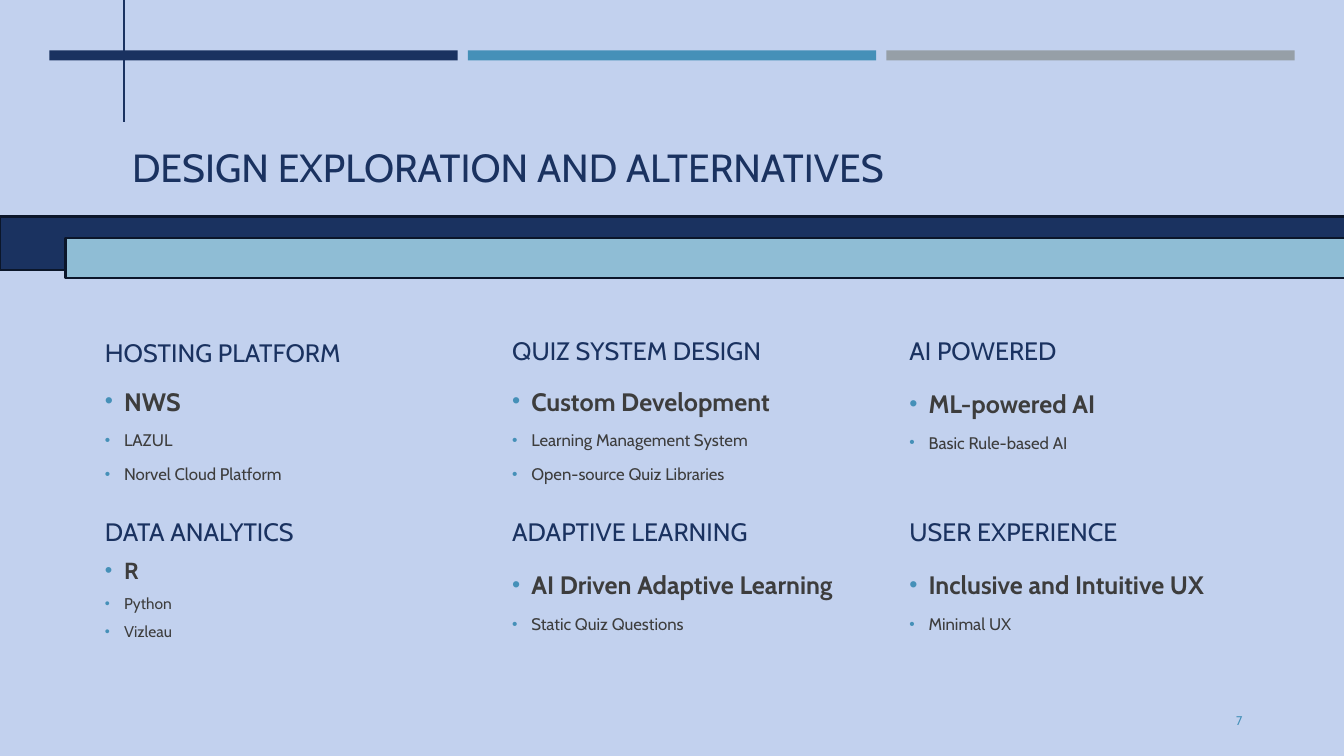
"""Build the slide on design exploration and alternatives."""
from lxml import etree
from pptx import Presentation
from pptx.dml.color import RGBColor as RGB
from pptx.enum.shapes import MSO_CONNECTOR as LINK, MSO_SHAPE as SHAPE
from pptx.enum.text import MSO_ANCHOR as ANCHOR, PP_ALIGN as ALIGN
from pptx.oxml.ns import qn
from pptx.util import Inches, Pt

HEX = {"back": "C2D1EE", "navy": "1A3260", "blue": "4590B8", "gray": "969FA7",
       "pale": "8FBDD5", "edge": "0B162A", "ink": "3D3D3D"}
FONT = "Cabin"
TITLE = "DESIGN EXPLORATION AND ALTERNATIVES"
PAGE = "7"
COLS = [1.04, 5.08, 9.02]
ROWS = [3.3, 5.1]
CARDS = [
    [{"head": "HOSTING PLATFORM", "items": ["NWS", "LAZUL", "Norvel Cloud Platform"],
      "tall": 1.24, "lid": 0.38, "anchor": ANCHOR.TOP},
     {"head": "QUIZ SYSTEM DESIGN", "tall": 1.24,
      "items": ["Custom Development", "Learning Management System",
                "Open-source Quiz Libraries"]},
     {"head": "AI POWERED", "items": ["ML-powered AI", "Basic Rule-based AI"]}],
    [{"head": "DATA ANALYTICS", "items": ["R", "Python", "Vizleau"],
      "sizes": (16.6, 11.1), "lead": 0.9},
     {"head": "ADAPTIVE LEARNING",
      "items": ["AI Driven Adaptive Learning", "Static Quiz Questions"]},
     {"head": "USER EXPERIENCE",
      "items": ["Inclusive and Intuitive UX", "Minimal UX"]}],
]
STRIPES = ["navy", "blue", "gray"]
BANDS = [(0, 2.15, 0.53, "navy"), (0.65, 2.36, 0.4, "pale")]

deck = Presentation()
deck.slide_width, deck.slide_height = Inches(13.33), Inches(7.5)
slide = deck.slides.add_slide(deck.slide_layouts[6])
slide.background.fill.solid()
slide.background.fill.fore_color.rgb = RGB.from_string(HEX["back"])


def add_bar(box, fill, edge=None):
    """Draw a filled rectangle."""
    bar = slide.shapes.add_shape(SHAPE.RECTANGLE, *map(Inches, box))
    bar.shadow.inherit = False
    bar.fill.solid()
    bar.fill.fore_color.rgb = RGB.from_string(HEX[fill])
    if edge:
        bar.line.color.rgb = RGB.from_string(HEX[edge])
        bar.line.width = Pt(1.75)
    else:
        bar.line.fill.background()


def add_bullet(para):
    """Give a paragraph a hanging blue bullet."""
    props = para._p.get_or_add_pPr()
    props.set("marL", str(Inches(0.19)))
    props.set("indent", str(Inches(-0.19)))
    color = etree.SubElement(props, qn("a:buClr"))
    etree.SubElement(color, qn("a:srgbClr"), val=HEX["blue"])
    etree.SubElement(props, qn("a:buSzPct"), val="92000")
    etree.SubElement(props, qn("a:buFont"), typeface="Arial")
    etree.SubElement(props, qn("a:buChar"), char="•")


def add_text(lines, box, sizes=(18, 18), color="navy", anchor=ANCHOR.MIDDLE,
             align=ALIGN.LEFT, inset=0, lead=None, after=0, bullet=False):
    """Place lines of text, the first in the lead size."""
    frame = slide.shapes.add_textbox(*map(Inches, box)).text_frame
    frame.word_wrap = True
    frame.vertical_anchor = anchor
    frame.margin_left = Inches(inset)
    for num, line in enumerate(lines):
        para = frame.add_paragraph() if num else frame.paragraphs[0]
        size = sizes[min(num, 1)]
        if bullet:
            add_bullet(para)
        para.alignment = align
        para.line_spacing = lead
        para.space_before = Pt(size * 0.2 if num else 0)
        para.space_after = Pt(after)
        run = para.add_run()
        run.text = line
        run.font.name = FONT
        run.font.size = Pt(size)
        run.font.bold = bullet and num == 0
        run.font.color.rgb = RGB.from_string(HEX[color])


for num, fill in enumerate(STRIPES):
    add_bar((0.49 + num * 4.15, 0.5, 4.05, 0.1), fill)

rule = slide.shapes.add_connector(LINK.STRAIGHT, Inches(1.23), 0, Inches(1.23), Inches(1.21))
rule.line.color.rgb = RGB.from_string(HEX["navy"])
rule.line.width = Pt(1.5)
etree.SubElement(rule._element.spPr, qn("a:effectLst"))

add_text([TITLE], (1.31, 0.93, 11.5, 1.01), sizes=(28, 28), anchor=ANCHOR.BOTTOM)
add_text([PAGE], (9.42, 6.95, 3, 0.4), sizes=(9, 9), color="blue",
         align=ALIGN.RIGHT, inset=0.1)

for top, row in zip(ROWS, CARDS):
    for left, card in zip(COLS, row):
        add_text([card["head"]], (left, top, 3.39, card.get("lid", 0.35)),
                 anchor=card.get("anchor", ANCHOR.MIDDLE), after=6)
        add_text(card["items"], (left, top + 0.38, 3.6, card.get("tall", 0.95)),
                 sizes=card.get("sizes", (18, 12)), color="ink",
                 lead=card.get("lead", 1.1), after=6, bullet=True)

for left, top, tall, fill in BANDS:
    add_bar((left, top, 13.48, tall), fill, "edge")

deck.save("out.pptx")
